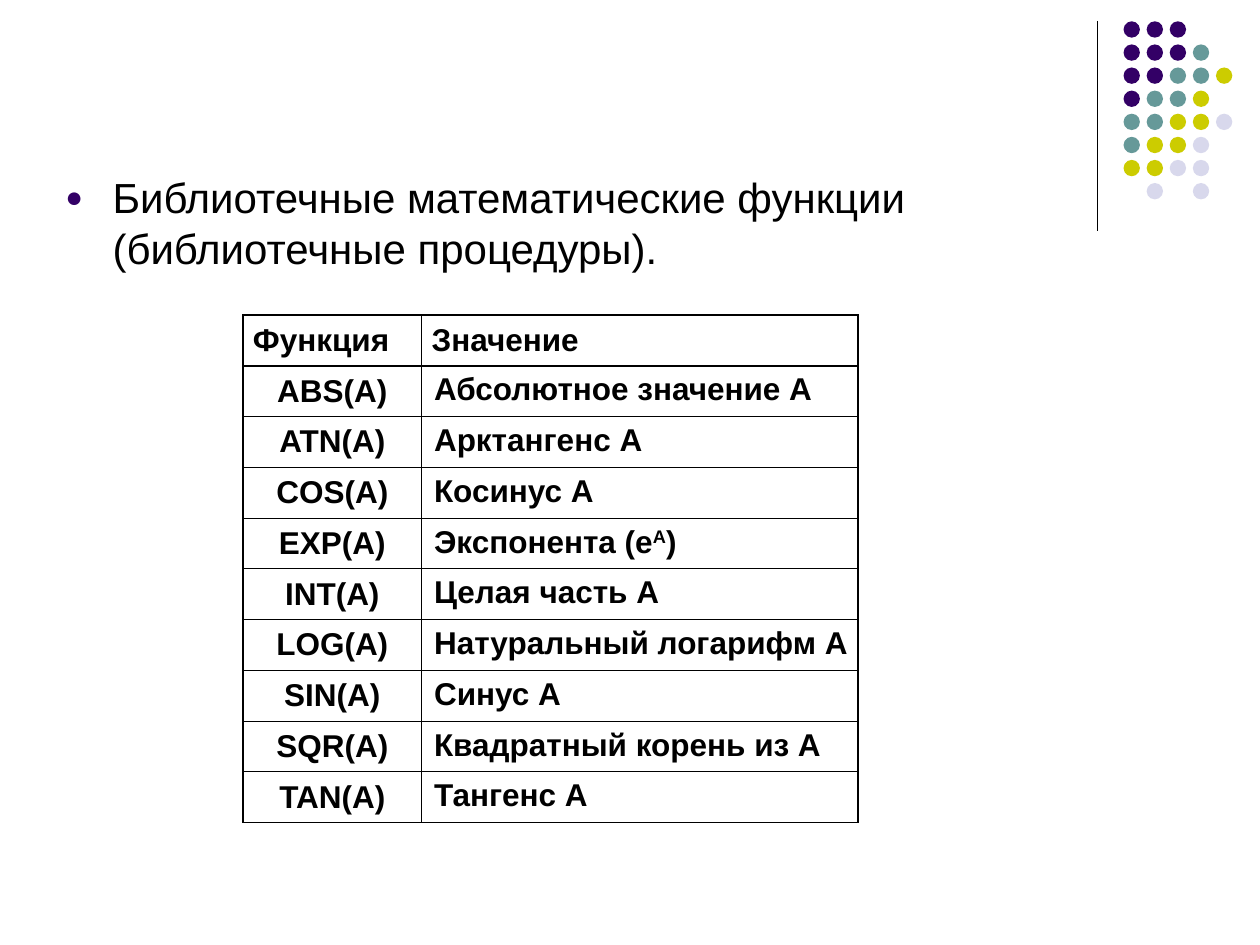
from dataclasses import dataclass

from lxml import etree
from pptx import Presentation
from pptx import util as u
from pptx.dml.color import RGBColor
from pptx.enum import shapes, text
from pptx.oxml import ns

BLACK = RGBColor(0x00, 0x00, 0x00)
PURPLE = RGBColor(0x33, 0x00, 0x66)
TEAL = RGBColor(0x66, 0x99, 0x99)
OLIVE = RGBColor(0xCC, 0xCC, 0x00)
LAVENDER = RGBColor(0xD8, 0xD8, 0xEC)

FONT = "Arial"
THIN, THICK = u.Pt(0.45), u.Pt(1.08)

DOT_COLORS = {"P": PURPLE, "T": TEAL, "O": OLIVE, "L": LAVENDER}
DOT_ROWS = ["PPP", "PPPT", "PPTTO", "PTTO", "TTOOL", "TOOL", "OOLL", ".L.L"]
DOT_LEFT, DOT_TOP, DOT_SIZE = u.Cm(22.65), u.Cm(0.43), u.Cm(0.33)
DOT_PITCH = u.Cm(3.26) / 7


@dataclass
class Function:
    name: str
    meaning: str  # text between ^ marks is superscript


HEADER = Function("Функция", "Значение")
FUNCTIONS = [
    Function("ABS(A)", "Абсолютное значение А"),
    Function("ATN(A)", "Арктангенс А"),
    Function("COS(A)", "Косинус А"),
    Function("EXP(A)", "Экспонента (е^А^)"),
    Function("INT(A)", "Целая часть А"),
    Function("LOG(A)", "Натуральный логарифм А"),
    Function("SIN(A)", "Синус А"),
    Function("SQR(A)", "Квадратный корень из А"),
    Function("TAN(A)", "Тангенс А"),
]


def write_text(frame, content: str, *, size: float, bold: bool = False,
               align=text.PP_ALIGN.LEFT, before: float = 0):
    """Fill the first paragraph of a frame and return it."""
    paragraph = frame.paragraphs[0]
    paragraph.alignment = align
    paragraph.space_before = u.Pt(before)
    for index, part in enumerate(content.split("^")):
        run = paragraph.add_run()
        run.text = part
        run.font.name = FONT
        run.font.size = u.Pt(size)
        run.font.bold = bold
        run.font.color.rgb = BLACK
        if index % 2:
            run.font._element.set("baseline", "30000")
    return paragraph


def set_margins(target, left: float, right: float, vertical: float = 0.13) -> None:
    target.margin_left, target.margin_right = u.Cm(left), u.Cm(right)
    target.margin_top = target.margin_bottom = u.Cm(vertical)


def add_bullet(paragraph, indent: u.Length, color: RGBColor) -> None:
    properties = paragraph._p.get_or_add_pPr()
    properties.set("marL", str(indent))
    properties.set("indent", str(-indent))
    bullet_color = etree.SubElement(properties, ns.qn("a:buClr"))
    etree.SubElement(bullet_color, ns.qn("a:srgbClr"), val=str(color))
    etree.SubElement(properties, ns.qn("a:buSzPct"), val="70000")
    etree.SubElement(properties, ns.qn("a:buFont"), typeface=FONT)
    etree.SubElement(properties, ns.qn("a:buChar"), char="●")


def set_borders(cell, **widths: u.Length) -> None:
    """Draw the borders L, R, T, B, given in that order."""
    properties = cell._tc.get_or_add_tcPr()
    for index, (side, width) in enumerate(widths.items()):
        line = etree.Element(ns.qn(f"a:ln{side}"), w=str(width))
        fill = etree.SubElement(line, ns.qn("a:solidFill"))
        etree.SubElement(fill, ns.qn("a:srgbClr"), val=str(BLACK))
        properties.insert(index, line)


def add_decoration(slide) -> None:
    # Vertical rule
    rule = slide.shapes.add_connector(
        shapes.MSO_CONNECTOR.STRAIGHT, u.Cm(22.12), u.Cm(0.42), u.Cm(22.12), u.Cm(4.65))
    rule.line.color.rgb = BLACK
    rule.line.width = u.Pt(0.75)
    etree.SubElement(rule._element.spPr, ns.qn("a:effectLst"))

    # Dot pattern
    for row, codes in enumerate(DOT_ROWS):
        for column, code in enumerate(codes):
            if code not in DOT_COLORS:
                continue
            dot = slide.shapes.add_shape(
                shapes.MSO_SHAPE.OVAL, round(DOT_LEFT + column * DOT_PITCH),
                round(DOT_TOP + row * DOT_PITCH), DOT_SIZE, DOT_SIZE)
            dot.shadow.inherit = False
            dot.fill.solid()
            dot.fill.fore_color.rgb = DOT_COLORS[code]
            dot.line.fill.background()


def add_body(slide) -> None:
    box = slide.shapes.add_textbox(u.Cm(1.07), u.Cm(3.33), u.Cm(21.84), u.Cm(5.61))
    frame = box.text_frame
    frame.word_wrap = True
    set_margins(frame, 0.25, 0.25)
    paragraph = write_text(
        frame, "Библиотечные математические функции (библиотечные процедуры).",
        size=24, before=6)
    add_bullet(paragraph, u.Cm(0.95), PURPLE)


def add_function_table(slide) -> None:
    rows = [HEADER, *FUNCTIONS]
    last = len(rows) - 1
    graphic = slide.shapes.add_table(
        len(rows), 2, u.Cm(4.9), u.Cm(6.35), u.Cm(12.4), u.Cm(10.22))
    table = graphic.table
    table.first_row = table.horz_banding = False
    table.columns[0].width, table.columns[1].width = u.Cm(3.6), u.Cm(8.8)

    for index, function in enumerate(rows):
        is_header = index == 0
        top = THICK if index <= 1 else THIN
        bottom = THICK if index in (0, last) else THIN
        name, meaning = table.cell(index, 0), table.cell(index, 1)
        for cell, content in ((name, function.name), (meaning, function.meaning)):
            centered = cell is name and not is_header
            cell.fill.background()
            write_text(cell.text_frame, content, size=18, bold=True, before=4.5,
                       align=text.PP_ALIGN.CENTER if centered else text.PP_ALIGN.LEFT)
            middle = is_header or cell is name
            cell.vertical_anchor = (
                text.MSO_ANCHOR.MIDDLE if middle else text.MSO_ANCHOR.TOP)
            if is_header:
                set_margins(cell, 0.2, 0.2)
            else:
                set_margins(cell, 0.25, 0.25 if cell is name else 0.1)
        set_borders(name, L=THICK, R=THIN, T=top, B=bottom)
        set_borders(meaning, L=THIN, R=THICK, T=top, B=bottom)


def main() -> None:
    presentation = Presentation()
    presentation.slide_width, presentation.slide_height = u.Cm(25.4), u.Cm(19.05)
    slide = presentation.slides.add_slide(presentation.slide_layouts[6])
    add_decoration(slide)
    add_body(slide)
    add_function_table(slide)
    presentation.save("out.pptx")


if __name__ == "__main__":
    main()
